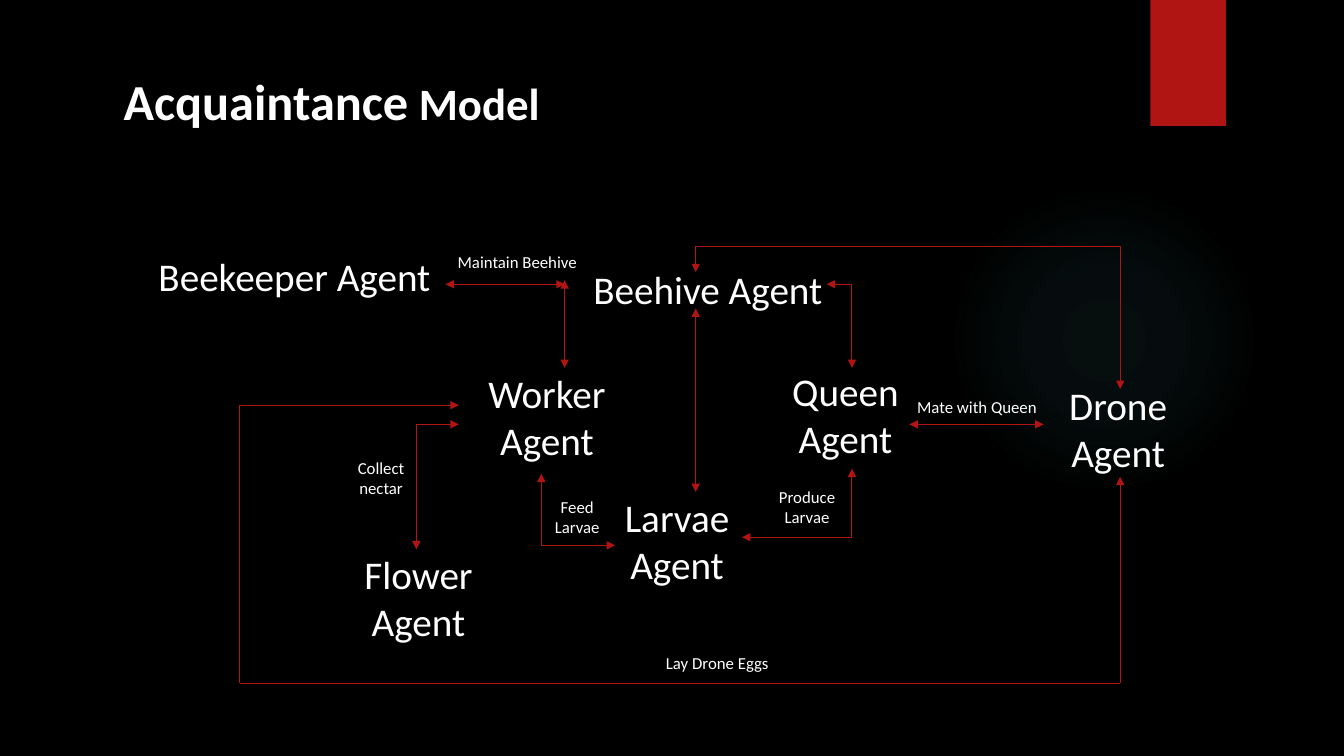
from lxml import etree
from pptx import Presentation
from pptx.dml.color import RGBColor
from pptx.enum import shapes, text
from pptx.oxml import parse_xml
from pptx.oxml.ns import qn
from pptx.util import Inches, Pt

DRAWING = "http://schemas.openxmlformats.org/drawingml/2006/main"
RED = "B01513"
WHITE = "FFFFFF"
GLOW = "50B9C1"

AGENTS = [
    ("Queen Agent", 7.58, 3.59, 1.61, 1.05),
    ("Worker Agent", 4.6, 3.61, 1.65, 1.05),
    ("Drone Agent", 10.31, 3.73, 1.56, 1.05),
    ("Beehive Agent", 5.72, 2.58, 2.6, 0.57),
    ("Larvae Agent", 6.04, 4.84, 1.35, 1.05),
    ("Beekeeper Agent", 1.42, 2.45, 3, 0.57),
    ("Flower Agent", 3.34, 5.41, 1.62, 1.05),
]
LABELS = [
    ("Maintain Beehive", 4.34, 2.45, 1.58, 0.3),
    ("Mate with Queen", 8.81, 3.89, 1.76, 0.3),
    ("Produce\nLarvae", 7.52, 4.78, 0.97, 0.51),
    ("Collect\nnectar", 3.28, 4.49, 1, 0.51),
    ("Feed\nLarvae", 5.4, 4.88, 0.65, 0.51),
    ("Lay Drone Eggs", 6.03, 6.43, 2.17, 0.3),
]
TWO_WAY = [
    (4.42, 2.82, 5.6, 2.82),
    (6.9, 3.06, 6.9, 4.88),
    (5.6, 2.78, 5.6, 3.65),
    (9.02, 4.21, 10.35, 4.21),
]
CORNERS = [
    (8.2, 2.82, 8.45, 3.65),
    (6.1, 5.41, 5.37, 4.7),
    (7.36, 5.33, 8.45, 4.65),
    (4.55, 4.21, 4.13, 5.45),
]
EGG_ROUTE = [
    (2.38, 4.02, 2.38, 6.78, ()),
    (2.38, 6.78, 11.11, 6.78, ()),
    (11.11, 6.78, 11.11, 4.73, ("tailEnd",)),
    (2.38, 4.02, 4.55, 4.02, ("tailEnd",)),
]
BOTH_ENDS = ("headEnd", "tailEnd")


def color(value):
    return RGBColor.from_string(value)


def add_plain_shape(page, kind, left, top, width, height, fill):
    shape = page.shapes.add_shape(
        kind, Inches(left), Inches(top), Inches(width), Inches(height))
    shape.shadow.inherit = False
    shape.fill.solid()
    shape.fill.fore_color.rgb = color(fill)
    shape.line.fill.background()
    return shape


def add_glow(page):
    glow = add_plain_shape(
        page, shapes.MSO_SHAPE.OVAL, 9.41, 1.83, 3.08, 3.08, GLOW)
    stops = "".join(
        f'<a:gs pos="{place * 1000}"><a:srgbClr val="{GLOW}">'
        f'<a:alpha val="{alpha * 1000}"/></a:srgbClr></a:gs>'
        for place, alpha in ((0, 7), (36, 6), (69, 0)))
    gradient = parse_xml(
        f'<a:gradFill xmlns:a="{DRAWING}"><a:gsLst>{stops}</a:gsLst>'
        '<a:path path="circle"><a:fillToRect l="50000" t="50000" '
        'r="50000" b="50000"/></a:path></a:gradFill>')
    properties = glow._element.spPr
    properties.replace(properties.find(qn("a:solidFill")), gradient)


def add_text(page, lines, left, top, width, height):
    box = page.shapes.add_textbox(
        Inches(left), Inches(top), Inches(width), Inches(height))
    frame = box.text_frame
    frame.word_wrap = True
    frame.auto_size = text.MSO_AUTO_SIZE.SHAPE_TO_FIT_TEXT
    for index, spans in enumerate(lines):
        para = frame.paragraphs[0] if index == 0 else frame.add_paragraph()
        para.alignment = text.PP_ALIGN.CENTER
        para.font.name = "Calibri"
        para.font.color.rgb = color(WHITE)
        para.font.size = Pt(spans[0][1])
        for wording, size in spans:
            span = para.add_run()
            span.text = wording
            if size != spans[0][1]:
                span.font.size = Pt(size)
    return box


def add_arrow(page, start_x, start_y, end_x, end_y, ends=BOTH_ENDS,
              kind=shapes.MSO_CONNECTOR.STRAIGHT):
    arrow = page.shapes.add_connector(
        kind, Inches(start_x), Inches(start_y), Inches(end_x), Inches(end_y))
    arrow.line.color.rgb = color(RED)
    arrow.line.width = Pt(0.75)
    line = arrow.line._get_or_add_ln()
    for end in ends:
        etree.SubElement(line, qn(f"a:{end}"), type="triangle")
    etree.SubElement(arrow._element.spPr, qn("a:effectLst"))
    return arrow


def add_corner(page, *points):
    arrow = add_arrow(page, *points, kind=shapes.MSO_CONNECTOR.ELBOW)
    arrow._element.spPr.find(qn("a:prstGeom")).set("prst", "bentConnector2")


def add_bridge(page, start_x, start_y, end_x, end_y, rise):
    span, drop = end_x - start_x, end_y - start_y
    middle_x, middle_y = (start_x + end_x) / 2, (start_y + end_y) / 2
    arrow = add_arrow(
        page, middle_x + drop / 2, middle_y - span / 2,
        middle_x - drop / 2, middle_y + span / 2,
        kind=shapes.MSO_CONNECTOR.ELBOW)
    properties = arrow._element.spPr
    properties.find(qn("a:xfrm")).set("rot", str(270 * 60000))
    guides = properties.find(qn("a:prstGeom")).get_or_add_avLst()
    etree.SubElement(guides, qn("a:gd"), name="adj1",
                     fmla=f"val {round(-rise / drop * 100000)}")


def main():
    deck = Presentation()
    deck.slide_width, deck.slide_height = Inches(13.33), Inches(7.5)
    page = deck.slides.add_slide(deck.slide_layouts[6])
    page.background.fill.solid()
    page.background.fill.fore_color.rgb = color("000000")
    add_glow(page)
    add_plain_shape(
        page, shapes.MSO_SHAPE.RECTANGLE, 11.41, 0, 0.75, 1.25, RED)
    title = add_text(page, [[("Acquaintance", 36), (" Model", 32)]],
                     0.97, 0.65, 4.64, 0.71)
    title.text_frame.paragraphs[0].font.bold = True
    for name, *place in AGENTS:
        add_text(page, [[(name, 28)]], *place)
    for points in TWO_WAY:
        add_arrow(page, *points)
    for points in CORNERS:
        add_corner(page, *points)
    add_bridge(page, 6.9, 2.7, 11.11, 3.86, 0.25)
    for wording, *place in LABELS:
        add_text(page, [[(line, 12)] for line in wording.split("\n")], *place)
    for route in EGG_ROUTE:
        add_arrow(page, *route)
    deck.save("out.pptx")


if __name__ == "__main__":
    main()
